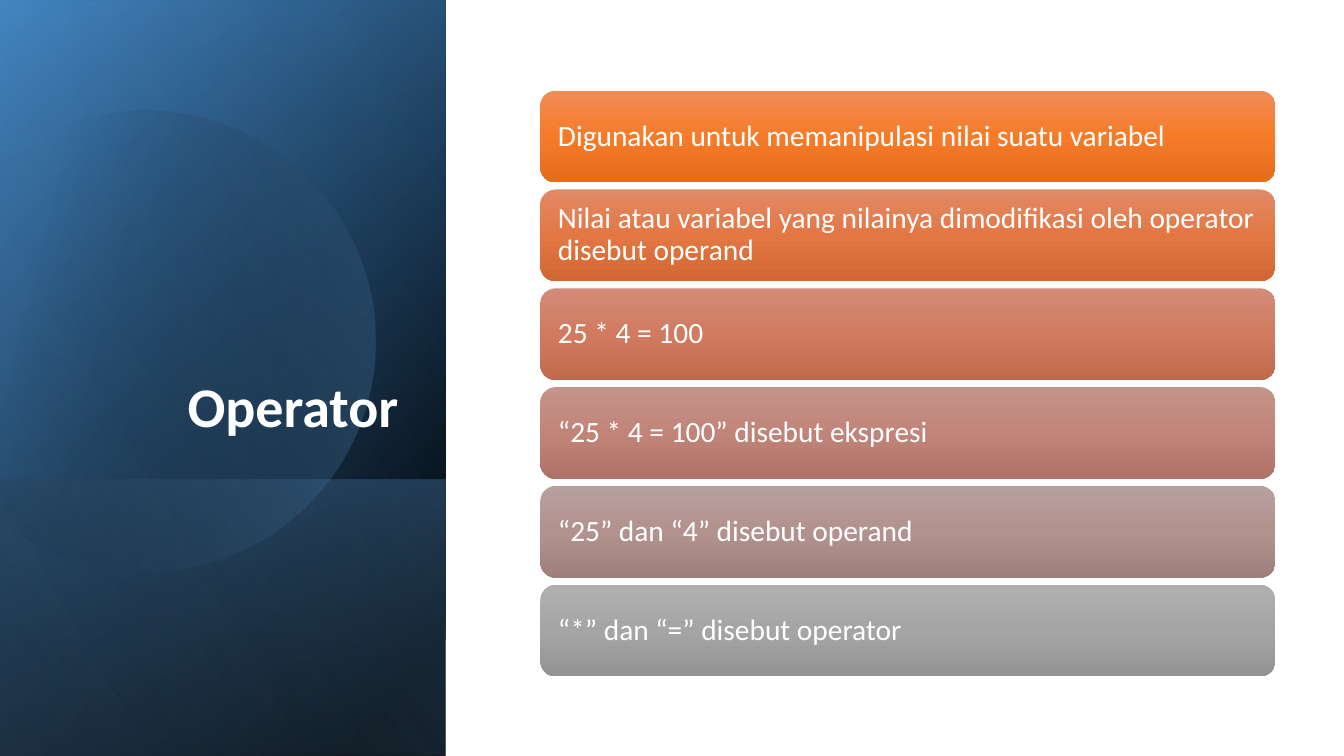
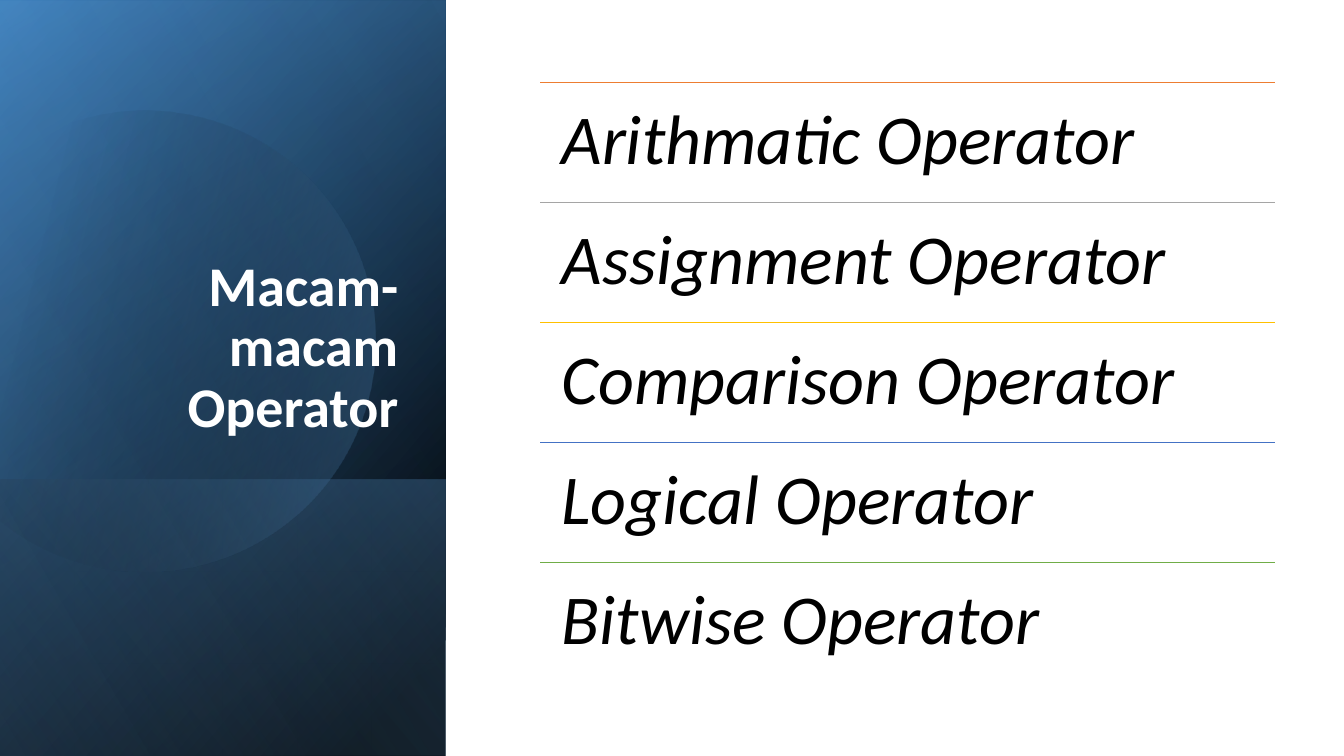
from math import cos, radians, sin

from pptx import Presentation
from pptx.dml.color import RGBColor
from pptx.enum.shapes import MSO_CONNECTOR, MSO_SHAPE
from pptx.enum.text import MSO_ANCHOR, MSO_AUTO_SIZE, PP_ALIGN
from pptx.oxml.ns import qn
from pptx.oxml.xmlchemy import OxmlElement
from pptx.util import Inches, Pt

FONT = "Calibri"
WHITE, BLACK = "FFFFFF", "000000"
DEEP_BLUE, BLUE, PALE_BLUE = "2E75B6", "5B9BD5", "9DC3E6"

# Each layer of the side panel: left, top, width, height, angle, gradient stops
PANEL_BASE = [
    (-1.54, 1.54, 7.5, 4.42, 50, [(8, BLACK, 100), (100, DEEP_BLUE, 100)]),
    (-1.54, 1.55, 7.5, 4.42, 30, [(0, BLACK, 0), (99, BLUE, 46)]),
    (0.84, 3.92, 2.74, 4.42, 130, [(2, BLUE, 29), (100, BLACK, 30)]),
]
PANEL_GLAZE = [(-1.54, 1.54, 7.5, 4.42, 120, [(0, BLACK, 0), (99, PALE_BLUE, 11)])]
DISC_X, DISC_Y, DISC_RADIUS = 1.43, 3.34, 2.29
DISC_START, DISC_END, DISC_STEPS = -117.5, 149.7, 120
DISC_STOPS = [(29, BLACK, 0), (100, BLUE, 43)]

CONTENT_LEFT, CONTENT_WIDTH = 5.36, 7.29
BOX_TOP, BOX_HEIGHT, BOX_PITCH = 0.9, 0.91, 0.98
ROW_TOP, ROW_HEIGHT = 0.82, 1.19

STATEMENTS = [
    ("Digunakan untuk memanipulasi nilai suatu variabel", "F18C57", "F67B28", "E56C19"),
    ("Nilai atau variabel yang nilainya dimodifikasi oleh operator disebut operand",
     "E18A66", "E37744", "D26734"),
    ("25 * 4 = 100", "D28C78", "D17A5F", "C06A4E"),
    ("“25 * 4 = 100” disebut ekspresi", "C5948B", "C18478", "AF7267"),
    ("“25” dan “4” disebut operand", "B9A09D", "B2928F", "A0807D"),
    ("“*” dan “=” disebut operator", "AFAFAF", "A5A5A5", "939393"),
]
OPERATOR_KINDS = [
    ("Arithmatic Operator", "ED7D31"),
    ("Assignment Operator", "A5A5A5"),
    ("Comparison Operator", "FFC000"),
    ("Logical Operator", "4472C4"),
    ("Bitwise Operator", "70AD47"),
]


def write(shape, text, size, color, bold=False, italic=False,
          align=PP_ALIGN.LEFT, anchor=MSO_ANCHOR.TOP, inset=0.1):
    frame = shape.text_frame
    frame.word_wrap = True
    frame.auto_size = MSO_AUTO_SIZE.NONE
    frame.vertical_anchor = anchor
    frame.margin_left = frame.margin_right = Inches(inset)
    frame.margin_top = frame.margin_bottom = Inches(min(inset, 0.21))
    paragraph = frame.paragraphs[0]
    paragraph.alignment = align
    paragraph.line_spacing = 0.9
    run = paragraph.add_run()
    run.text = text
    run.font.name = FONT
    run.font.size = Pt(size)
    run.font.bold = bold
    run.font.italic = italic
    run.font.color.rgb = RGBColor.from_string(color)


def paint_gradient(shape, stops, angle):
    """Fill with (position, colour, opacity) stops in percent, without line or shadow."""
    shape.shadow.inherit = False
    shape.line.fill.background()
    shape.fill.background()
    gradient = OxmlElement("a:gradFill")
    gradient.set("rotWithShape", "1")
    stop_list = OxmlElement("a:gsLst")
    for position, color, opacity in stops:
        stop = OxmlElement("a:gs")
        stop.set("pos", str(position * 1000))
        stop_color = OxmlElement("a:srgbClr")
        stop_color.set("val", color)
        alpha = OxmlElement("a:alpha")
        alpha.set("val", str(opacity * 1000))
        stop_color.append(alpha)
        stop.append(stop_color)
        stop_list.append(stop)
    direction = OxmlElement("a:lin")
    direction.set("ang", str(angle * 60000))
    direction.set("scaled", "0")
    gradient.extend([stop_list, direction])
    properties = shape._element.spPr
    properties.replace(properties.find(qn("a:noFill")), gradient)


presentation = Presentation()
presentation.slide_width = Inches(13.33)
presentation.slide_height = Inches(7.5)
title_only = presentation.slide_layouts[5]

# Side panel and title, the same on every slide
slides = []
for title_text in ["Operator", "Macam-macam Operator"]:
    slide = presentation.slides.add_slide(title_only)
    slides.append(slide)
    shapes = slide.shapes

    for layers, with_disc in [(PANEL_BASE, True), (PANEL_GLAZE, False)]:
        for left, top, width, height, angle, stops in layers:
            layer = shapes.add_shape(MSO_SHAPE.RECTANGLE, Inches(left), Inches(top),
                                     Inches(width), Inches(height))
            layer.rotation = 90
            layer._element.spPr.find(qn("a:xfrm")).set("flipH", "1")
            paint_gradient(layer, stops, angle)
        if with_disc:
            step = (DISC_END - DISC_START) / DISC_STEPS
            turns = [radians(DISC_START + step * i) for i in range(DISC_STEPS + 1)]
            outline = [(Inches(DISC_X + DISC_RADIUS * cos(turn)),
                        Inches(DISC_Y + DISC_RADIUS * sin(turn))) for turn in turns]
            builder = shapes.build_freeform(*outline[0])
            builder.add_line_segments(outline[1:], close=True)
            disc = builder.convert_to_shape()
            disc.rotation = 343.9
            paint_gradient(disc, DISC_STOPS, 30)

    title = shapes.title
    title.left, title.top = Inches(0.64), Inches(1.84)
    title.width, title.height = Inches(3.41), Inches(2.62)
    write(title, title_text, 40, WHITE, bold=True,
          align=PP_ALIGN.RIGHT, anchor=MSO_ANCHOR.BOTTOM)
    shapes._spTree.append(title._element)  # bring in front of the panel

operator_slide, kinds_slide = slides

# Slide 1: stacked statements
for i, (statement, light, middle, dark) in enumerate(STATEMENTS):
    box = operator_slide.shapes.add_shape(
        MSO_SHAPE.ROUNDED_RECTANGLE, Inches(CONTENT_LEFT), Inches(BOX_TOP + i * BOX_PITCH),
        Inches(CONTENT_WIDTH), Inches(BOX_HEIGHT))
    paint_gradient(box, [(0, light, 100), (50, middle, 100), (100, dark, 100)], 90)
    write(box, statement, 21, WHITE, anchor=MSO_ANCHOR.MIDDLE, inset=0.13)

# Slide 2: ruled list of operator kinds
for i, (kind, rule_color) in enumerate(OPERATOR_KINDS):
    top = Inches(ROW_TOP + i * ROW_HEIGHT)
    left, width = Inches(CONTENT_LEFT), Inches(CONTENT_WIDTH)
    rule = kinds_slide.shapes.add_connector(MSO_CONNECTOR.STRAIGHT, left, top, left + width, top)
    rule.line.color.rgb = RGBColor.from_string(rule_color)
    rule.line.width = Pt(0.5)
    rule._element.spPr.append(OxmlElement("a:effectLst"))
    label = kinds_slide.shapes.add_textbox(left, top, width, Inches(ROW_HEIGHT))
    write(label, kind, 50, BLACK, italic=True, inset=0.21)

presentation.save("out.pptx")
